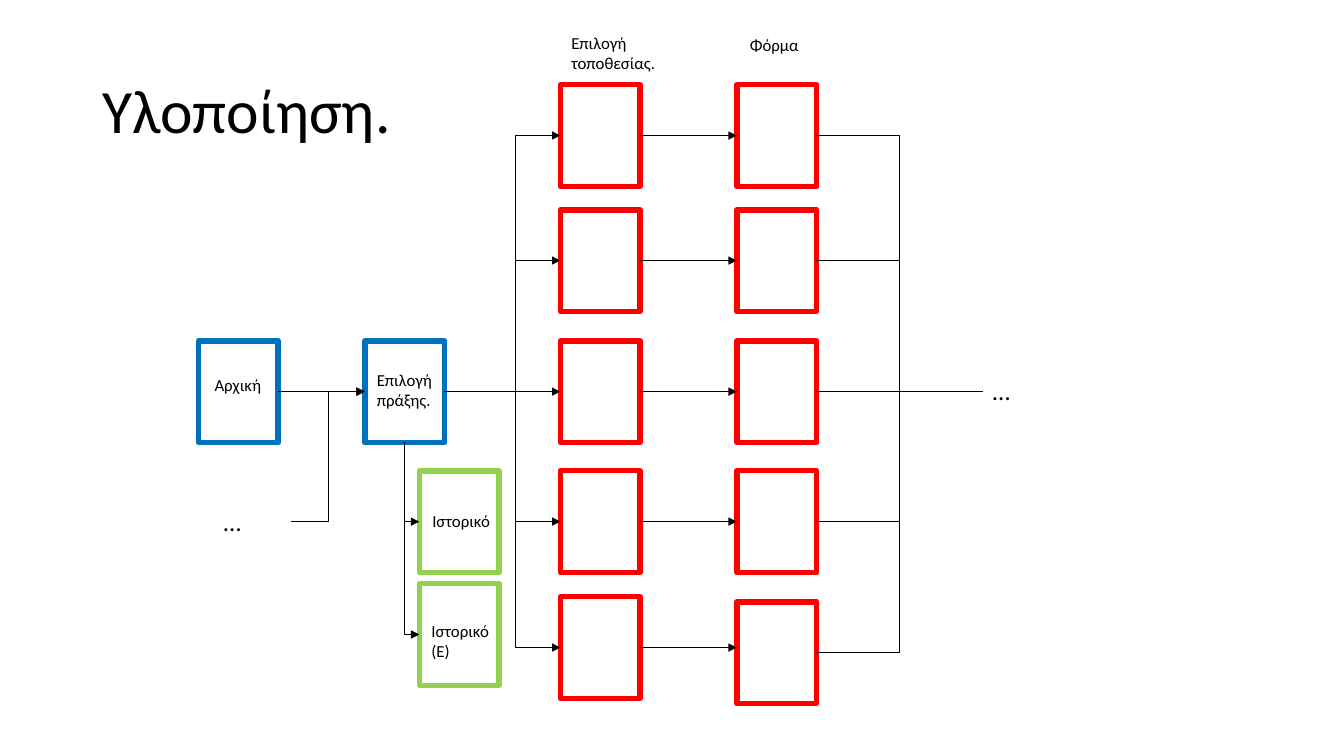
import pptx
import pptx.dml.color
import pptx.enum.shapes
import pptx.enum.text
import pptx.oxml
import pptx.oxml.ns
import pptx.util

Pt = pptx.util.Pt
BOX_WIDTH, BOX_HEIGHT = 56.9, 72.7
MIDDLE = BOX_HEIGHT / 2
BLUE, GREEN, RED, BLACK = "0070C0", "92D050", "FF0000", "000000"


def color(value):
    return pptx.dml.color.RGBColor.from_string(value)


def add_child(parent, tag, **attributes):
    child = pptx.oxml.parse_xml(f"<a:{tag} {pptx.oxml.ns.nsdecls('a')}/>")
    for name, value in attributes.items():
        child.set(name, value)
    parent.append(child)


def add_box(slide, left, top, line_color):
    shape = slide.shapes.add_shape(
        pptx.enum.shapes.MSO_SHAPE.RECTANGLE,
        Pt(left), Pt(top), Pt(BOX_WIDTH), Pt(BOX_HEIGHT))
    shape.shadow.inherit = False
    shape.fill.background()
    shape.line.color.rgb = color(line_color)
    shape.line.width = Pt(4)


def add_text(slide, left, top, width, height, lines, size=12, wrap=False):
    shape = slide.shapes.add_textbox(Pt(left), Pt(top), Pt(width), Pt(height))
    frame = shape.text_frame
    frame.word_wrap = wrap
    frame.text = "\n".join(lines)
    for paragraph in frame.paragraphs:
        paragraph.font.size = Pt(size)
        paragraph.font.name = "Calibri"
        paragraph.font.color.rgb = color(BLACK)


def add_link(slide, start, end, bend=None, arrow=True):
    kinds = pptx.enum.shapes.MSO_CONNECTOR
    straight = start[1] == end[1]
    connector = slide.shapes.add_connector(
        kinds.STRAIGHT if straight else kinds.ELBOW,
        *(Pt(value) for value in (*start, *end)))
    connector.line.color.rgb = color(BLACK)
    connector.line.width = Pt(0.5)
    properties = connector._element.spPr
    if not straight:
        guides = properties.find(pptx.oxml.ns.qn("a:prstGeom")).get_or_add_avLst()
        add_child(guides, "gd", name="adj1", fmla=f"val {round(bend * 100000)}")
    if arrow:
        add_child(connector.line._get_or_add_ln(), "tailEnd", type="triangle")
    add_child(properties, "effectLst")


def add_title(slide, left, top, width, height):
    title = slide.shapes.title
    title.left, title.top, title.width, title.height = map(Pt, (left, top, width, height))
    frame = title.text_frame
    frame.text = "Υλοποίηση."
    frame.vertical_anchor = pptx.enum.text.MSO_ANCHOR.MIDDLE
    paragraph = frame.paragraphs[0]
    paragraph.alignment = pptx.enum.text.PP_ALIGN.LEFT
    paragraph.line_spacing = 0.9
    paragraph.font.size = Pt(44)
    paragraph.font.name = "Calibri"
    paragraph.font.color.rgb = color(BLACK)


def add_start_flow(slide, left, top):
    action_left = left + 118.8
    history_left = left + 157.7
    axis = top + MIDDLE
    for box_left in (left, action_left):
        add_box(slide, box_left, top, BLUE)
    add_link(slide, (left + BOX_WIDTH, axis), (action_left, axis))
    add_link(slide, (action_left + BOX_WIDTH, axis), (left + 226.1, axis), arrow=False)
    add_link(slide, (left + 66.3, top + 129), (action_left, axis), bend=0.5)
    for offset in (92.9, 173.5):
        add_box(slide, history_left, top + offset, GREEN)
        add_link(slide, (action_left + BOX_WIDTH / 2, top + BOX_HEIGHT),
                 (history_left, top + offset + MIDDLE), bend=0)
    add_text(slide, left + 4.4, top + 20.9, 48.2, 21.8, ["Αρχική"])
    add_text(slide, left + 120.3, top + 17.2, 54.7, 36.4, ["Επιλογή", "πράξης."])
    add_text(slide, left + 159.9, top + 118, 56.2, 21.8, ["Ιστορικό"])
    add_text(slide, left + 159.2, top + 196.5, 56.2, 36.4, ["Ιστορικό", "(Ε)"])
    add_text(slide, left + 10.8, top + 114.5, 55.4, 29.1, ["…"], 18, True)


def add_form_grid(slide, left, top):
    form_left = left + 126
    axis = top + 182.9 + MIDDLE
    entry = (left - 32.4, axis)
    outlet = (left + 301.7, axis)
    row_offsets = [(0, 0), (89.3, 89.3), (182.9, 182.9), (275.7, 275.7), (365.7, 369.3)]
    for place_offset, form_offset in row_offsets:
        place_middle = top + place_offset + MIDDLE
        form_middle = top + form_offset + MIDDLE
        add_box(slide, left, top + place_offset, RED)
        add_box(slide, form_left, top + form_offset, RED)
        add_link(slide, entry, (left, place_middle), bend=0)
        add_link(slide, (left + BOX_WIDTH, place_middle), (form_left, place_middle))
        add_link(slide, (form_left + BOX_WIDTH, form_middle), outlet, bend=0.5, arrow=False)
    add_text(slide, left + 0.7, top - 41, 74.9, 36.4, ["Επιλογή", "τοποθεσίας."])
    add_text(slide, form_left + 2.2, top - 39, 49.7, 21.8, ["Φόρμα"])
    add_text(slide, *(outlet[0], axis - 15.5), 55.4, 29.1, ["…"], 18, True)


presentation = pptx.Presentation()
presentation.slide_width = Pt(960)
presentation.slide_height = Pt(540)
slide = presentation.slides.add_slide(presentation.slide_layouts[5])
add_title(slide, 66, 28.8, 828, 104.4)
add_start_flow(slide, 141.8, 243.4)
add_form_grid(slide, 400.3, 60.5)
presentation.save("out.pptx")
